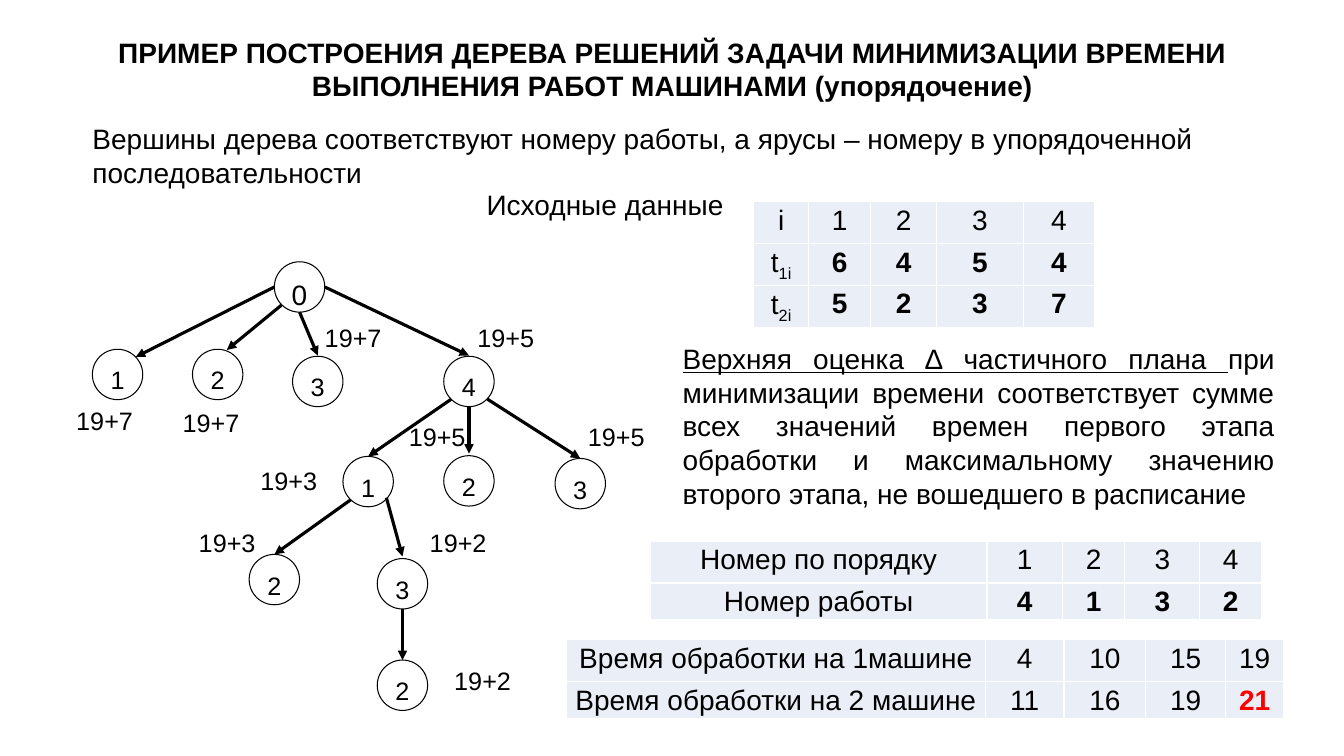
from lxml import etree
from pptx import Presentation
from pptx.dml.color import RGBColor
from pptx.enum import shapes, text
from pptx.oxml import ns
from pptx.util import Pt

BLACK, WHITE, RED, CELL = "000000", "FFFFFF", "FF0000", "EAEFF7"
CENTER, LEFT, JUSTIFY = text.PP_ALIGN.CENTER, text.PP_ALIGN.LEFT, text.PP_ALIGN.JUSTIFY


def rgb(value):
    return RGBColor.from_string(value)


def write(paragraph, runs, size=20, align=CENTER, bold=False, color=BLACK):
    for run in runs:
        paragraph.add_run().text = run
    paragraph.alignment = align
    font = paragraph.font
    font.name, font.size, font.bold = "Arial", Pt(size), bold
    font.color.rgb = rgb(color)


deck = Presentation()
deck.slide_width, deck.slide_height = Pt(960), Pt(540)
slide = deck.slides.add_slide(deck.slide_layouts[6])

# Tree nodes: job number, left, top, text size
DIAMETER = 36
nodes = [
    ("0", 196, 187, 20),
    ("1", 66, 249.5, 18), ("2", 137.5, 249.5, 18), ("3", 209, 254.5, 18), ("4", 317, 254.5, 18),
    ("1", 245, 326, 18), ("2", 317, 325.5, 18), ("3", 396.5, 327.5, 18),
    ("2", 178, 396, 18), ("3", 269.5, 399, 18),
    ("2", 269.5, 471.5, 18),
]
for job, left, top, size in nodes:
    node = slide.shapes.add_shape(shapes.MSO_SHAPE.OVAL, Pt(left), Pt(top), Pt(DIAMETER), Pt(DIAMETER))
    node.shadow.inherit = False
    node.fill.solid()
    node.fill.fore_color.rgb = rgb(WHITE)
    node.line.color.rgb = rgb(BLACK)
    node.line.width = Pt(0.75)
    frame = node.text_frame
    frame.vertical_anchor = text.MSO_ANCHOR.TOP
    frame.margin_top = Pt(5.8)
    write(frame.paragraphs[0], [job], size)

# Tree branches: start and end points
branches = [
    (196, 205, 97, 255), (201, 218, 162, 250), (214, 223, 227, 254), (232, 205, 335, 254),
    (322.5, 285, 263, 326), (335, 290, 335, 324), (348, 285, 414.5, 327.5),
    (250.5, 357, 196, 396), (276, 355.5, 287.5, 397.5), (287.5, 435, 287.5, 471.5),
]
for points in branches:
    branch = slide.shapes.add_connector(shapes.MSO_CONNECTOR.STRAIGHT, *map(Pt, points))
    branch.line.color.rgb = rgb(BLACK)
    branch.line.width = Pt(2.25)
    etree.SubElement(branch.line._get_or_add_ln(), ns.qn("a:tailEnd"), type="triangle")
    etree.SubElement(branch._element.spPr, ns.qn("a:effectLst"))

# Bounds beside the nodes
bounds = [
    ("19+7", 47, 286), ("19+7", 123, 287.5), ("19+7", 224.5, 227), ("19+5", 333.5, 227),
    ("19+3", 178.5, 328.5), ("19+5", 284.5, 297.5), ("19+5", 412.5, 297.5),
    ("19+3", 134.5, 373), ("19+2", 299.5, 373), ("19+2", 317, 471.5),
]
for bound, left, top in bounds:
    label = slide.shapes.add_textbox(Pt(left), Pt(top), Pt(55.5), Pt(29))
    label.text_frame.word_wrap = False
    write(label.text_frame.paragraphs[0], [bound], 18)

# Title and explanations: runs, box, alignment, bold, wrapping
passages = [
    (["ПРИМЕР ПОСТРОЕНИЯ ДЕРЕВА РЕШЕНИЙ ЗАДАЧИ МИНИМИЗАЦИИ ВРЕМЕНИ "
      "ВЫПОЛНЕНИЯ РАБОТ МАШИНАМИ (упорядочение)"], (59, 21.5, 842.5, 55.5), CENTER, True, True),
    (["Вершины дерева соответствуют номеру работы, а ярусы – номеру в упорядоченной "
      "последовательности"], (59, 83.5, 842.5, 55.5), LEFT, False, True),
    (["Исходные данные"], (340.5, 130.5, 185, 31.5), LEFT, False, False),
    (["Верхняя оценка ∆ частичного плана ",
      "при минимизации времени соответствует сумме всех значений времен первого этапа "
      "обработки и максимальному значению второго этапа, не вошедшего в расписание"],
     (480.5, 240.5, 437, 128), JUSTIFY, False, True),
]
for runs, box, align, bold, wrap in passages:
    passage = slide.shapes.add_textbox(*map(Pt, box))
    passage.text_frame.word_wrap = wrap
    write(passage.text_frame.paragraphs[0], runs, 20, align, bold)
    if len(runs) > 1:
        passage.text_frame.paragraphs[0].runs[0].font.underline = True

# Tables: position, column widths, row heights, rows, bold cells
job_columns = range(1, 5)
tables = [
    (538.5, 144, (39, 44.5, 47, 62, 51), (30, 20, 21.5),
     [["i", "1", "2", "3", "4"], ["t_1i", "6", "4", "5", "4"], ["t_2i", "5", "2", "3", "7"]],
     {(row, column) for row in (1, 2) for column in job_columns}),
    (464.5, 386.5, (240.5, 54, 44.5, 53.5, 44), (30, 20),
     [["Номер по порядку", "1", "2", "3", "4"], ["Номер работы", "4", "1", "3", "2"]],
     {(1, column) for column in job_columns}),
    (404.5, 457, (299.5, 56, 58.5, 57, 41.5), (30, 20),
     [["Время обработки на 1машине", "4", "10", "15", "19"],
      ["Время обработки на 2 машине", "11", "16", "19", "21"]],
     {(1, 4)}),
]
for left, top, widths, heights, rows, bold_cells in tables:
    table = slide.shapes.add_table(len(rows), len(widths), Pt(left), Pt(top),
                                   Pt(sum(widths)), Pt(sum(heights))).table
    table.first_row = table.horz_banding = False
    for column, width in zip(table.columns, widths):
        column.width = Pt(width)
    for r, row in enumerate(rows):
        table.rows[r].height = Pt(heights[r])
        for c, value in enumerate(row):
            cell = table.cell(r, c)
            cell.fill.solid()
            cell.fill.fore_color.rgb = rgb(CELL)
            cell.margin_left = cell.margin_right = Pt(3.6)
            cell.margin_top, cell.margin_bottom = Pt(0.7), Pt(0)
            paragraph = cell.text_frame.paragraphs[0]
            paragraph.line_spacing, paragraph.space_after = 1.07, Pt(8)
            write(paragraph, value.split("_"), bold=(r, c) in bold_cells,
                  color=RED if value == "21" else BLACK)
            for index in paragraph.runs[1:]:
                index.font._element.set("baseline", "-25000")

deck.save("out.pptx")
